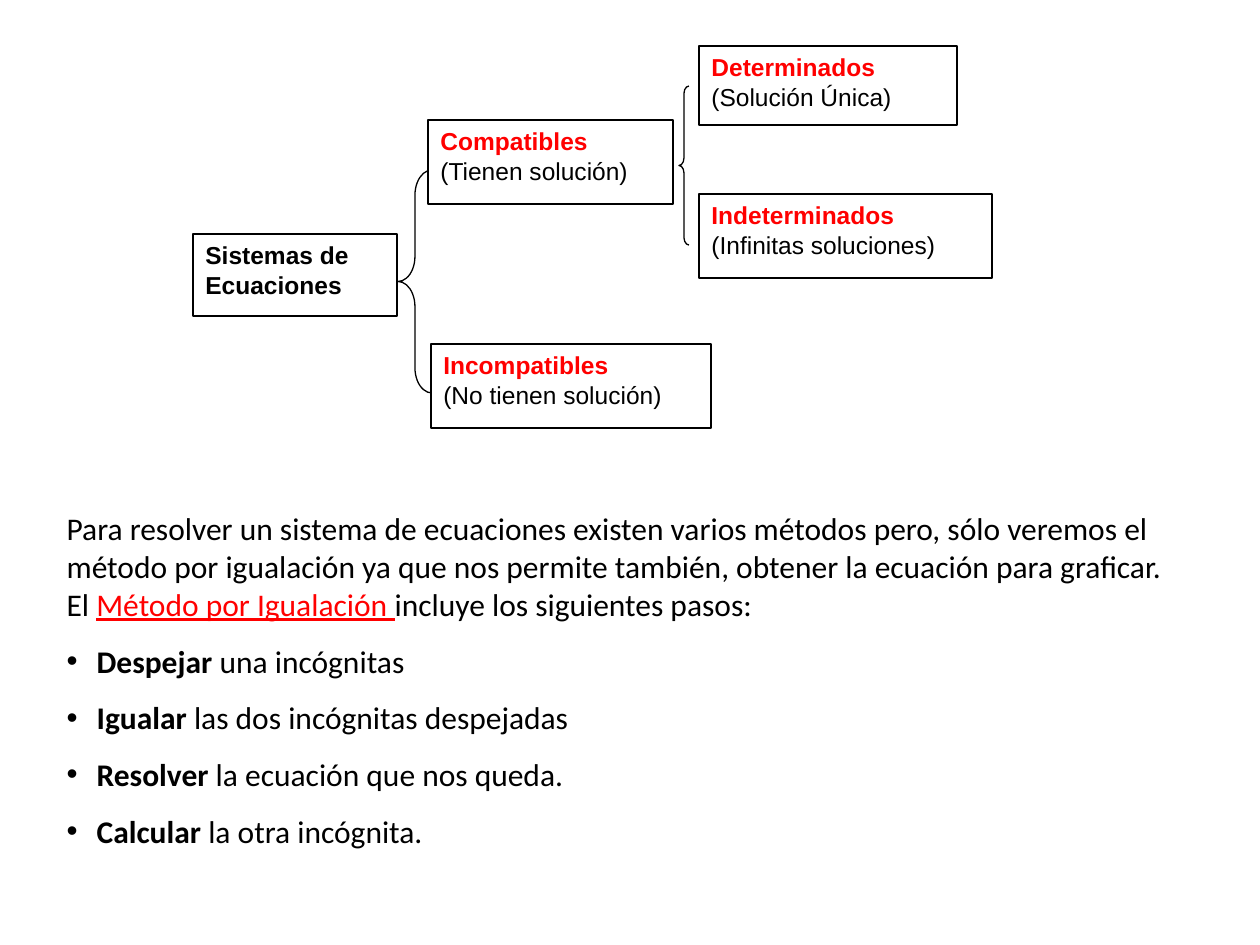
from pptx import Presentation
from pptx.dml.color import RGBColor
from pptx.enum.shapes import MSO_SHAPE as SHAPE
from pptx.enum.text import MSO_ANCHOR as ANCHOR, MSO_AUTO_SIZE as AUTO, PP_ALIGN as ALIGN
from pptx.oxml.ns import qn
from pptx.util import Inches, Pt
from lxml.etree import SubElement

BLACK = RGBColor(0, 0, 0)
RED = RGBColor(255, 0, 0)
WHITE = RGBColor(255, 255, 255)


def px(*values):
    return [round(v * Inches(1) / 126) for v in values]


def add_run(p, text, font, size, color=BLACK, bold=False, underline=False):
    r = p.add_run()
    r.text = text
    f = r.font
    f.name, f.size, f.bold, f.underline = font, Pt(size), bold, underline
    f.color.rgb = color


prs = Presentation()
prs.slide_width, prs.slide_height = px(1260, 945)
s = prs.slides.add_slide(prs.slide_layouts[1])
title = s.shapes.title.element
title.getparent().remove(title)

braces = [(398, 170, 34, 223), (679, 86, 10, 159)]
for box in braces:
    sp = s.shapes.add_shape(SHAPE.LEFT_BRACE, *px(*box))
    sp.adjustments[0] = 0.74
    sp.shadow.inherit = False
    sp.fill.background()
    sp.line.color.rgb = BLACK
    sp.line.width = Pt(0.75)

boxes = [
    (193, 234, 204, 82, "Sistemas de", "Ecuaciones", BLACK, True),
    (428, 120, 245, 84, "Compatibles", "(Tienen solución)", RED, False),
    (699, 46, 258, 79, "Determinados", "(Solución Única)", RED, False),
    (699, 194, 293, 84, "Indeterminados", "(Infinitas soluciones)", RED, False),
    (431, 344, 280, 84, "Incompatibles", "(No tienen solución)", RED, False),
]
for x, y, w, h, name, detail, color, bold in boxes:
    sp = s.shapes.add_shape(SHAPE.RECTANGLE, *px(x, y, w, h))
    sp.shadow.inherit = False
    sp.fill.solid()
    sp.fill.fore_color.rgb = WHITE
    sp.line.color.rgb = BLACK
    sp.line.width = Pt(0.75)
    tf = sp.text_frame
    tf.vertical_anchor = ANCHOR.TOP
    add_run(tf.paragraphs[0], name, "Arial", 14, color, True)
    add_run(tf.add_paragraph(), detail, "Arial", 14, BLACK, bold)
    for p in tf.paragraphs:
        p.alignment = ALIGN.LEFT

body = s.placeholders[1]
body.left, body.top, body.width, body.height = px(54, 503, 1181, 353)
tf = body.text_frame
tf.word_wrap = True
tf.auto_size = AUTO.NONE
p = tf.paragraphs[0]
add_run(p, "Para resolver un sistema de ecuaciones existen varios métodos pero, sólo veremos el "
        "método por igualación ya que nos permite también, obtener la ecuación para graficar.",
        "Calibri", 18)
p = tf.add_paragraph()
add_run(p, "El ", "Calibri", 18)
add_run(p, "Método por Igualación ", "Calibri", 18, RED, underline=True)
add_run(p, "incluye los siguientes pasos:", "Calibri", 18)

steps = [
    ("Despejar", " una incógnitas"),
    ("Igualar", " las dos incógnitas despejadas"),
    ("Resolver", " la ecuación que nos queda."),
    ("Calcular ", "la otra incógnita."),
]
for verb, rest in steps:
    p = tf.add_paragraph()
    p.line_spacing = 1.5
    add_run(p, verb, "Calibri", 18, bold=True)
    add_run(p, rest, "Calibri", 18)

indent = px(30)[0]
for i, p in enumerate(tf.paragraphs):
    p.space_before = Pt(0)
    pPr = p._p.get_or_add_pPr()
    if i < 2:
        pPr.set("marL", "0")
        pPr.set("indent", "0")
        SubElement(pPr, qn("a:buNone"))
    else:
        pPr.set("marL", str(indent))
        pPr.set("indent", str(-indent))
        SubElement(pPr, qn("a:buFont")).set("typeface", "Arial")
        SubElement(pPr, qn("a:buChar")).set("char", "•")

prs.save("out.pptx")
